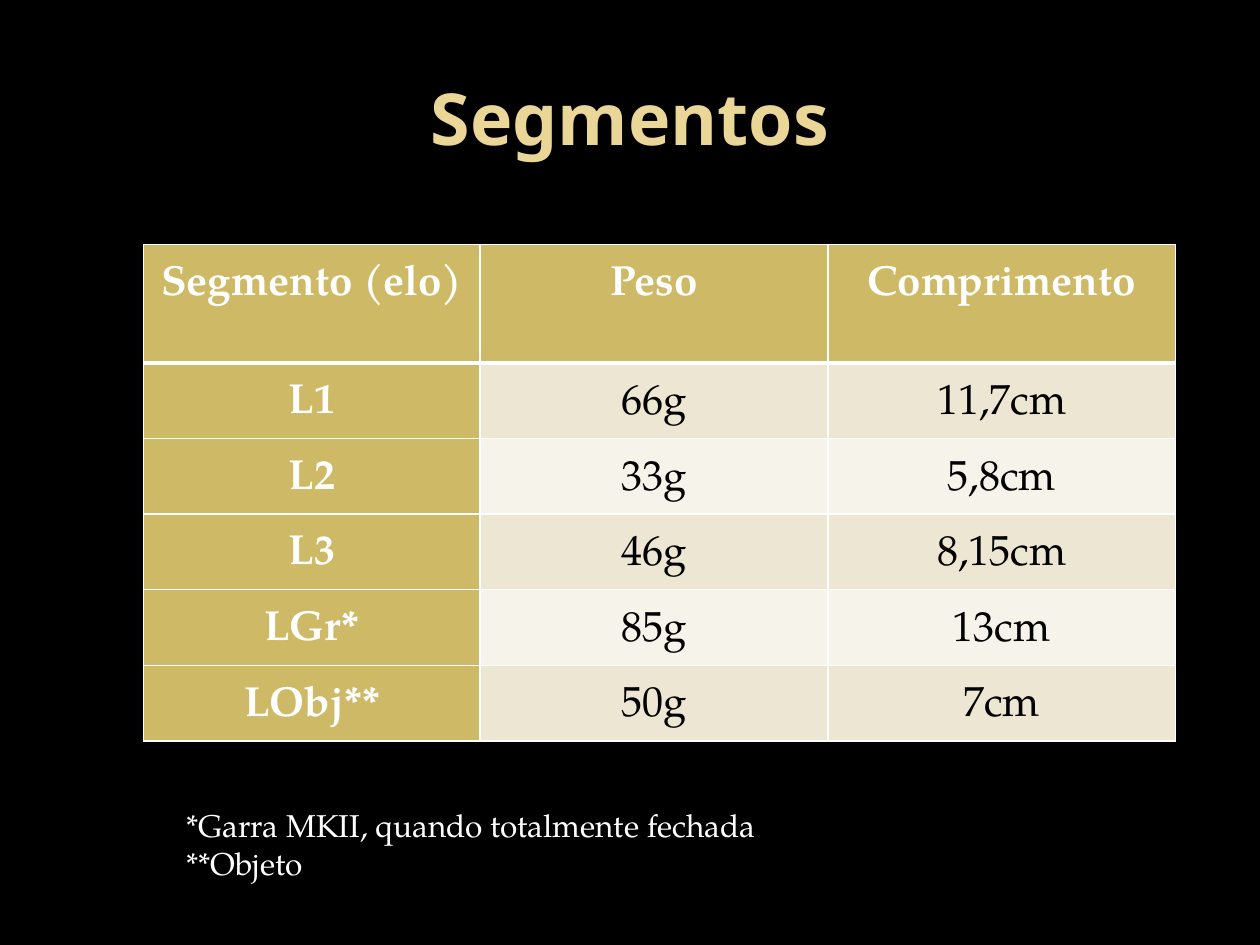
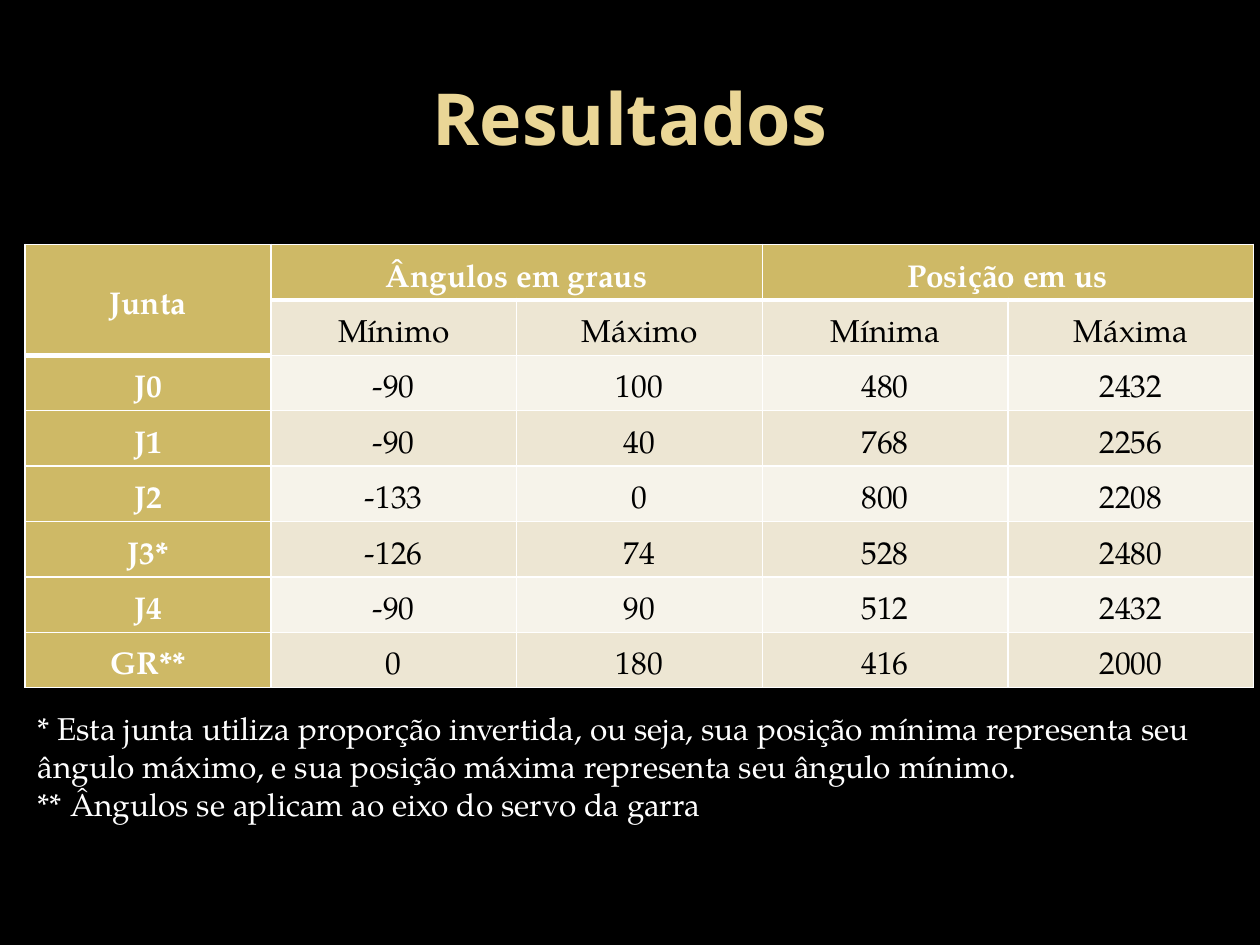
"""Build two slides that tabulate the segments and joint results of a robotic arm."""
from dataclasses import dataclass

from lxml import etree
from pptx import Presentation
from pptx.dml.color import RGBColor
from pptx.enum.text import MSO_ANCHOR, PP_ALIGN
from pptx.oxml.ns import qn
from pptx.presentation import Presentation as Deck
from pptx.slide import Slide
from pptx.table import _Cell as Cell
from pptx.util import Inches, Pt

CENTER = PP_ALIGN.CENTER
TOP, MIDDLE = MSO_ANCHOR.TOP, MSO_ANCHOR.MIDDLE

BLACK = RGBColor(0x00, 0x00, 0x00)
WHITE = RGBColor(0xFF, 0xFF, 0xFF)
TITLE_GOLD = RGBColor(0xEA, 0xD6, 0x96)
TITLE_GOLD_END = RGBColor(0xE7, 0xD0, 0x81)
LABEL_GOLD = RGBColor(0xCE, 0xB9, 0x66)
BANDS = (RGBColor(0xF6, 0xF3, 0xEA), RGBColor(0xED, 0xE6, 0xD3))

TITLE_FONT, BODY_FONT = "Noto Sans", "TeX Gyre Pagella"
SLIDE_WIDTH, SLIDE_HEIGHT = Inches(10), Inches(7.5)
TITLE_ONLY_LAYOUT = 5
TABLE_TOP = 1.94
THIN, HEAVY = Pt(1), Pt(3)


@dataclass(frozen=True)
class Box:
    """A rectangle in inches."""

    left: float
    top: float
    width: float
    height: float

    def lengths(self) -> tuple[int, int, int, int]:
        """Return the sides in slide units."""
        return (Inches(self.left), Inches(self.top),
                Inches(self.width), Inches(self.height))


@dataclass(frozen=True)
class TableStyle:
    """The measures in which the tables differ."""

    left: float
    columns: tuple[float, ...]
    header_height: float
    row_height: float
    font_size: int
    side_margin: float
    anchor: MSO_ANCHOR


@dataclass(frozen=True)
class TableSlide:
    """A titled table with remarks below it."""

    title: str
    style: TableStyle
    rows: tuple[tuple[str, ...], ...]
    remarks: str
    remarks_box: Box
    merges: tuple[tuple[int, int, int, int], ...] = ()


TITLE_BOX = Box(0.5, 0.3, 9, 1.25)

SEGMENTS = TableSlide(
    title="Segmentos",
    style=TableStyle(1.14, (2.67, 2.76, 2.76), 0.94, 0.6, 24, 0.07, TOP),
    rows=(
        ("Segmento (elo)", "Peso", "Comprimento"),
        ("L1", "66g", "11,7cm"),
        ("L2", "33g", "5,8cm"),
        ("L3", "46g", "8,15cm"),
        ("LGr*", "85g", "13cm"),
        ("LObj**", "50g", "7cm"),
    ),
    remarks="*Garra MKII, quando totalmente fechada\n**Objeto",
    remarks_box=Box(1.38, 6.35, 5.28, 0.71),
)

RESULTS = TableSlide(
    title="Resultados",
    style=TableStyle(0.2, (1.95,) * 5, 0.44, 0.44, 18, 0.11, MIDDLE),
    rows=(
        ("Junta", "Ângulos em graus", "", "Posição em us", ""),
        ("", "Mínimo", "Máximo", "Mínima", "Máxima"),
        ("J0", "-90", "100", "480", "2432"),
        ("J1", "-90", "40", "768", "2256"),
        ("J2", "-133", "0", "800", "2208"),
        ("J3*", "-126", "74", "528", "2480"),
        ("J4", "-90", "90", "512", "2432"),
        ("GR**", "0", "180", "416", "2000"),
    ),
    remarks="* Esta junta utiliza proporção invertida, ou seja, sua posição mínima "
            "representa seu ângulo máximo, e sua posição máxima representa seu "
            "ângulo mínimo.\n** Ângulos se aplicam ao eixo do servo da garra",
    remarks_box=Box(0.2, 5.58, 9.61, 1.01),
    merges=((0, 0, 1, 0), (0, 1, 0, 2), (0, 3, 0, 4)),
)


def add_title(slide: Slide, text: str) -> None:
    """Fill the title placeholder in gold."""
    title = slide.shapes.title
    title.left, title.top, title.width, title.height = TITLE_BOX.lengths()
    title.text_frame.text = text
    title.text_frame.vertical_anchor = MIDDLE
    paragraph = title.text_frame.paragraphs[0]
    paragraph.alignment = CENTER
    font = paragraph.runs[0].font
    font.name, font.size, font.bold = TITLE_FONT, Pt(41), True
    font.fill.gradient()
    font.fill.gradient_angle = 280
    start, end = font.fill.gradient_stops
    start.color.rgb, start.position = TITLE_GOLD, 0.73
    end.color.rgb, end.position = TITLE_GOLD_END, 1.0


def add_border(cell: Cell, side: str, width: int) -> None:
    """Draw one white side of a cell."""
    properties = cell._tc.get_or_add_tcPr()
    line = etree.SubElement(properties, qn(f"a:ln{side}"), w=str(width))
    fill = etree.SubElement(line, qn("a:solidFill"))
    etree.SubElement(fill, qn("a:srgbClr"), val=str(WHITE))


def style_cell(cell: Cell, row: int, column: int, style: TableStyle) -> None:
    """Format a cell as a gold label or a banded value."""
    is_label = row == 0 or column == 0
    add_border(cell, "L", THIN)
    add_border(cell, "R", THIN)
    if row == 0:
        add_border(cell, "T", THIN)
    add_border(cell, "B", HEAVY if row == 0 or cell.is_spanned else THIN)
    cell.fill.solid()
    cell.fill.fore_color.rgb = LABEL_GOLD if is_label else BANDS[row % 2]
    cell.margin_left = cell.margin_right = Inches(style.side_margin)
    cell.margin_top = cell.margin_bottom = 0
    cell.vertical_anchor = style.anchor
    paragraph = cell.text_frame.paragraphs[0]
    paragraph.alignment, paragraph.line_spacing = CENTER, 1.5
    for run in paragraph.runs:
        font = run.font
        font.name, font.size, font.bold = BODY_FONT, Pt(style.font_size), is_label
        font.color.rgb = WHITE if is_label else BLACK


def add_table(slide: Slide, content: TableSlide) -> None:
    """Add the table and its merged headings."""
    style = content.style
    heights = [style.header_height] + [style.row_height] * (len(content.rows) - 1)
    box = Box(style.left, TABLE_TOP, sum(style.columns), sum(heights))
    table = slide.shapes.add_table(
        len(heights), len(style.columns), *box.lengths()).table
    for column, width in zip(table.columns, style.columns):
        column.width = Inches(width)
    for row, height in zip(table.rows, heights):
        row.height = Inches(height)
    for top, left, bottom, right in content.merges:
        table.cell(top, left).merge(table.cell(bottom, right))
    for row_index, texts in enumerate(content.rows):
        for column_index, text in enumerate(texts):
            cell = table.cell(row_index, column_index)
            if text:
                cell.text_frame.text = text
            style_cell(cell, row_index, column_index, style)


def add_remarks(slide: Slide, text: str, box: Box) -> None:
    """Add the remarks below the table."""
    text_frame = slide.shapes.add_textbox(*box.lengths()).text_frame
    text_frame.word_wrap = True
    text_frame.text = text
    for paragraph in text_frame.paragraphs:
        font = paragraph.runs[0].font
        font.name, font.size = BODY_FONT, Pt(18)
        font.color.rgb = WHITE


def add_table_slide(presentation: Deck, content: TableSlide) -> None:
    """Add a slide with title, table and remarks."""
    layout = presentation.slide_layouts[TITLE_ONLY_LAYOUT]
    slide = presentation.slides.add_slide(layout)
    add_title(slide, content.title)
    add_table(slide, content)
    add_remarks(slide, content.remarks, content.remarks_box)


def main() -> None:
    """Build and save the presentation."""
    presentation = Presentation()
    presentation.slide_width = SLIDE_WIDTH
    presentation.slide_height = SLIDE_HEIGHT
    background = presentation.slide_master.background.fill
    background.solid()
    background.fore_color.rgb = BLACK
    for content in (SEGMENTS, RESULTS):
        add_table_slide(presentation, content)
    presentation.save("out.pptx")


if __name__ == "__main__":
    main()
